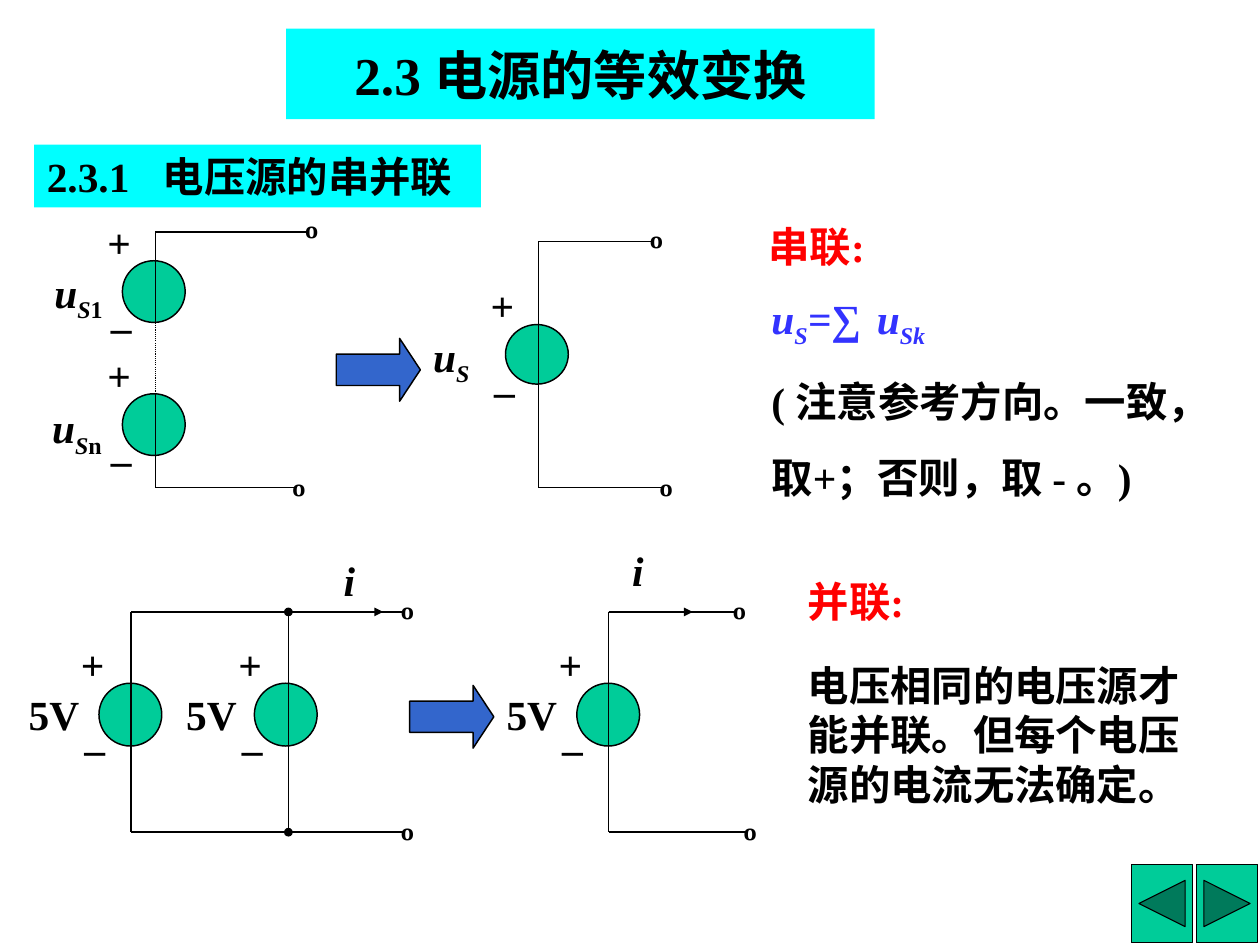
from lxml.etree import SubElement
from pptx import Presentation
from pptx.dml.color import RGBColor
from pptx.enum.dml import MSO_LINE
from pptx.enum.shapes import MSO_CONNECTOR, MSO_SHAPE
from pptx.enum.text import MSO_ANCHOR, MSO_AUTO_SIZE, PP_ALIGN
from pptx.oxml.ns import qn
from pptx.util import Inches, Pt

COLORS = {"black": "000000", "green": "00CC99", "cyan": "00FFFF",
          "blue": "3366CC", "formula": "3333FF", "red": "FF0000"}
FONT = "Times New Roman"

TITLE = ((2.69, 0.27, 5.53, 0.85), "2.3 电源的等效变换")
SECTION = ((0.32, 1.36, 4.2, 0.59), "2.3.1\t电压源的串并联")
SERIES_HEADING = ((7.1, 2.02, 1.28, 0.59), "串联:")
PARALLEL_HEADING = ((7.47, 5.35, 1.15, 0.59), "并联:")
SERIES_RULE = ((7.13, 2.69, 4.34, 1.99), [
    [("u", "i"), ("S", "i sub"), ("=", "i"), ("∑\t", ""), ("u", "i"), ("Sk", "i sub")],
    "( 注意参考方向。一致，",
    "取+；否则，取 - 。)",
])
PARALLEL_RULE = ((7.47, 6.14, 3.85, 1.52),
                 "电压相同的电压源才能并联。但每个电压源的电流无法确定。")

U_S1 = [("u", "i"), ("S", "i sub"), ("1", "sub")]
U_SN = [("u", "i"), ("S", "i sub"), ("n", "sub")]
U_S = [("u", "i"), ("S", "i sub")]
CURRENT = [("i", "i")]

# circle left, circle top, circle height, polarity left, label, label left, label top
SOURCES = [
    (1.15, 2.45, 0.58, 0.89, U_S1, 0.39, 2.45),
    (1.15, 3.7, 0.58, 0.89, U_SN, 0.37, 3.72),
    (4.75, 3.05, 0.56, 4.49, U_S, 3.95, 3.05),
    (5.42, 6.42, 0.59, 5.13, "5V", 4.64, 6.42),
    (0.93, 6.42, 0.59, 0.64, "5V", 0.15, 6.42),
    (2.39, 6.42, 0.59, 2.12, "5V", 1.63, 6.42),
]
WIRES = [
    ((1.46, 2.18), (1.46, 3.03), {}),
    ((1.46, 2.18), (2.89, 2.18), {}),
    ((1.46, 4.58), (2.79, 4.58), {}),
    ((1.46, 4.58), (1.46, 3.7), {"width": 0.75}),
    ((1.46, 3.7), (1.46, 3.03), {"width": 0.75, "dash": MSO_LINE.ROUND_DOT}),
    ((5.06, 2.27), (5.06, 4.58), {}),
    ((5.06, 2.27), (6.14, 2.27), {}),
    ((5.06, 4.58), (6.24, 4.58), {}),
    ((5.72, 5.75), (5.72, 7.82), {}),
    ((5.72, 5.75), (6.91, 5.75), {}),
    ((5.72, 7.82), (7.01, 7.82), {}),
    ((5.72, 5.75), (6.51, 5.75), {"tail": "triangle"}),
    ((1.23, 5.75), (1.23, 7.82), {}),
    ((2.71, 5.75), (2.71, 7.82), {"head": "oval", "tail": "oval"}),
    ((1.23, 5.75), (3.8, 5.75), {}),
    ((1.23, 7.82), (3.8, 7.82), {}),
    ((2.71, 5.75), (3.6, 5.75), {"width": 0.75, "tail": "triangle"}),
]
TERMINALS = [(2.81, 1.95), (2.69, 4.37), (6.05, 2.04), (6.14, 4.37),
             (6.83, 5.53), (6.93, 7.6), (3.71, 5.53), (3.71, 7.6)]
CURRENTS = [(5.82, 5.06), (3.11, 5.16)]
EQUIVALENCES = [(3.16, 3.18), (3.85, 6.44)]
BUTTONS = [(10.63, MSO_SHAPE.ACTION_BUTTON_BACK_OR_PREVIOUS),
           (11.24, MSO_SHAPE.ACTION_BUTTON_FORWARD_OR_NEXT)]


def rgb(name):
    return RGBColor.from_string(COLORS[name])


def add_figure(slide, kind, box, fill, width=1):
    figure = slide.shapes.add_shape(kind, *map(Inches, box))
    figure.shadow.inherit = False
    figure.fill.solid()
    figure.fill.fore_color.rgb = rgb(fill)
    if width:
        figure.line.color.rgb = rgb("black")
        figure.line.width = Pt(width)
    else:
        figure.line.fill.background()
    return figure


def add_text(slide, box, paragraphs, size=28, color="black", fill=None, wrap=True,
             centered=False, middle=False, grow=True, tab=None, first_color=None):
    if fill:
        holder = add_figure(slide, MSO_SHAPE.RECTANGLE, box, fill, width=0)
    else:
        holder = slide.shapes.add_textbox(*map(Inches, box))
    frame = holder.text_frame
    frame.word_wrap = wrap
    frame.auto_size = MSO_AUTO_SIZE.SHAPE_TO_FIT_TEXT if grow else MSO_AUTO_SIZE.NONE
    frame.vertical_anchor = MSO_ANCHOR.MIDDLE if middle else MSO_ANCHOR.TOP
    frame.margin_left = frame.margin_right = Inches(0.12)
    frame.margin_top = frame.margin_bottom = Inches(0.06)
    if isinstance(paragraphs, str) or isinstance(paragraphs[0], tuple):
        paragraphs = [paragraphs]
    for index, content in enumerate(paragraphs):
        paragraph = frame.add_paragraph() if index else frame.paragraphs[0]
        paragraph.alignment = PP_ALIGN.CENTER if centered else PP_ALIGN.LEFT
        if index:
            paragraph.space_before = Pt(18)
        if tab and index == 0:
            stops = SubElement(paragraph._p.get_or_add_pPr(), qn("a:tabLst"))
            SubElement(stops, qn("a:tab"), pos=str(Inches(tab)), algn="l")
        runs = [(content, "")] if isinstance(content, str) else content
        for words, style in runs:
            run = paragraph.add_run()
            run.text = words
            run.font.name = FONT
            run.font.size = Pt(size)
            run.font.bold = True
            run.font.italic = "i" in style.split()
            run.font.color.rgb = rgb(first_color if first_color and index == 0 else color)
            if "sub" in style:
                run._r.get_or_add_rPr().set("baseline", "-25000")


def add_wire(slide, start, end, width=1, dash=None, head=None, tail=None):
    wire = slide.shapes.add_connector(MSO_CONNECTOR.STRAIGHT, *map(Inches, start + end))
    wire.line.color.rgb = rgb("black")
    wire.line.width = Pt(width)
    if dash:
        wire.line.dash_style = dash
    for tag, ending in (("a:headEnd", head), ("a:tailEnd", tail)):
        if ending:
            SubElement(wire.get_or_add_ln(), qn(tag), type=ending)
    SubElement(wire._element.spPr, qn("a:effectLst"))


def main():
    deck = Presentation()
    deck.slide_width, deck.slide_height = Inches(11.84), Inches(8.88)
    slide = deck.slides.add_slide(deck.slide_layouts[6])

    for left, kind in BUTTONS:
        add_figure(slide, kind, (left, 8.12, 0.58, 0.74), "green", width=0.75)
    add_text(slide, *SECTION, fill="cyan", tab=1.09)
    for left, top in EQUIVALENCES:
        arrow = add_figure(slide, MSO_SHAPE.RIGHT_ARROW, (left, top, 0.79, 0.59), "blue")
        arrow.adjustments[1] = 0.33
    add_text(slide, *SERIES_HEADING, color="red")
    add_text(slide, *SERIES_RULE, first_color="formula", wrap=False, tab=0.99)
    add_text(slide, *PARALLEL_RULE)

    for left, top, height, polarity, label, label_left, label_top in SOURCES:
        add_figure(slide, MSO_SHAPE.OVAL, (left, top, 0.59, height), "green")
        add_text(slide, (polarity, top - 0.47, 0.46, 0.58), "+",
                 wrap=False, centered=True, middle=True)
        add_text(slide, (polarity + 0.03, top + 0.19, 0.44, 0.58), "_",
                 centered=True, middle=True)
        add_text(slide, (label_left, label_top, 0.99, 0.59), label)
    for start, end, look in WIRES:
        add_wire(slide, start, end, **look)
    for left, top in TERMINALS:
        add_text(slide, (left, top, 0.24, 0.58), "º", centered=True, middle=True)
    for left, top in CURRENTS:
        add_text(slide, (left, top, 0.49, 0.59), CURRENT)

    add_text(slide, *PARALLEL_HEADING, color="red", wrap=False)
    add_text(slide, *TITLE, size=36, fill="cyan", centered=True, middle=True, grow=False)
    deck.save("out.pptx")


if __name__ == "__main__":
    main()
